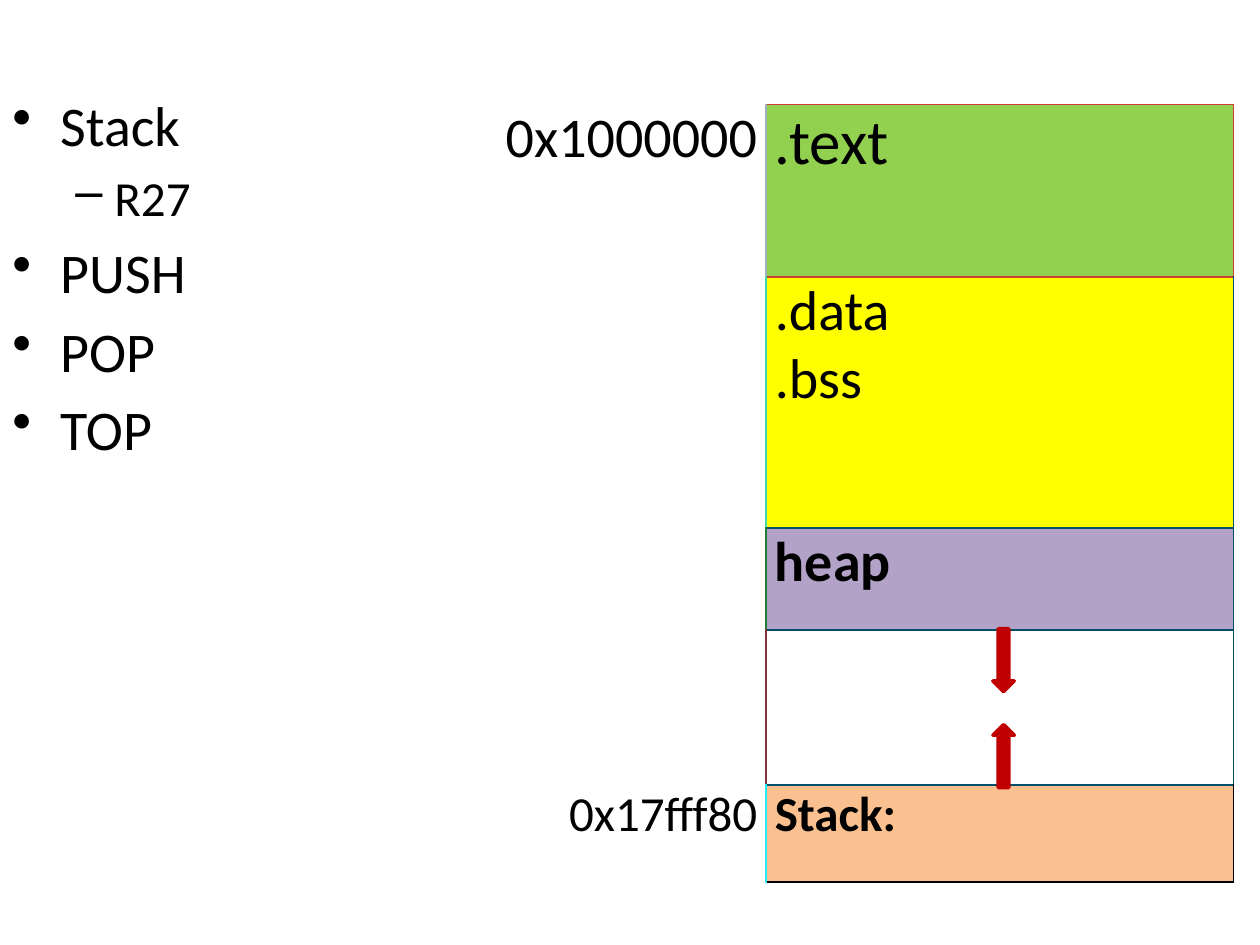
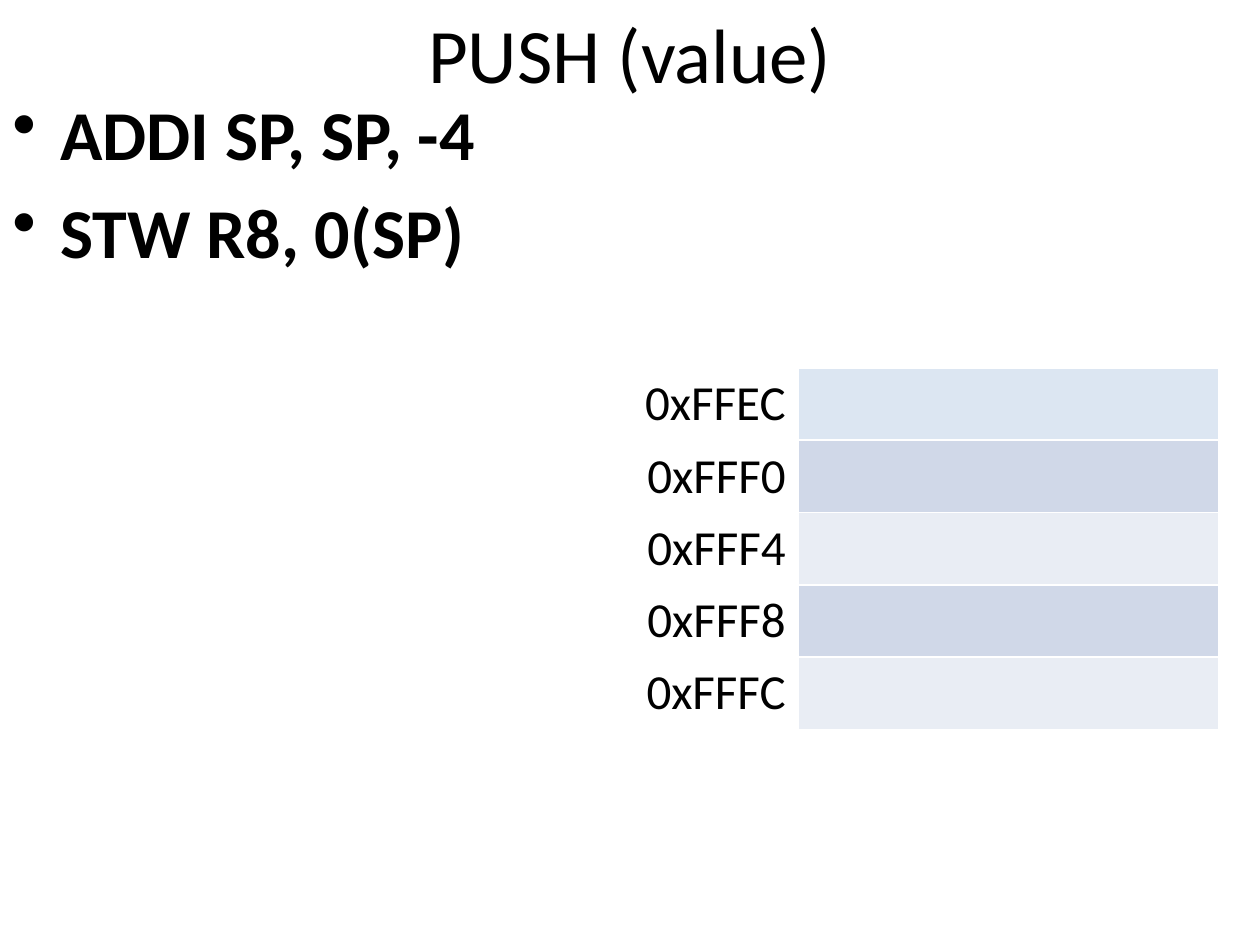
from dataclasses import dataclass

from lxml import etree
from pptx import Presentation
from pptx.dml.color import RGBColor
from pptx.enum.shapes import MSO_SHAPE
from pptx.enum.text import MSO_ANCHOR, MSO_AUTO_SIZE, PP_ALIGN
from pptx.oxml.ns import qn
from pptx.util import Inches, Pt

ARROW = MSO_SHAPE.DOWN_ARROW
TOP = MSO_ANCHOR.TOP
FIXED = MSO_AUTO_SIZE.NONE
LEFT, CENTER, RIGHT = PP_ALIGN.LEFT, PP_ALIGN.CENTER, PP_ALIGN.RIGHT
TITLE_ONLY, BLANK = 5, 6


@dataclass(frozen=True)
class Theme:
    font: str = "Calibri"
    ink: str = "000000"
    red: str = "D03E3A"
    navy: str = "004E6B"
    green: str = "92D050"
    yellow: str = "FFFF00"
    purple: str = "B3A2C7"
    orange: str = "FAC090"
    arrow: str = "C00000"
    head: str = "DCE6F2"
    dark: str = "D0D8E8"
    light: str = "E9EDF4"
    title: int = 44
    code: int = 40
    large: int = 36
    text: int = 32
    small: int = 28


T = Theme()
BODY = (0, 0.67, 10, 6.83)
INDENTS = ((0.38, -0.38, "•"), (0.81, -0.31, "–"))


def color(code):
    return RGBColor.from_string(code)


def style(para, size, bold=False, align=LEFT):
    para.alignment = align
    font = para.font
    font.name = T.font
    font.size = Pt(size)
    font.bold = bold
    font.color.rgb = color(T.ink)


def paint(part, code):
    if code:
        part.fill.solid()
        part.fill.fore_color.rgb = color(code)
    else:
        part.fill.background()


def add_title(slide, text, box):
    title = slide.shapes.title
    title.left, title.top, title.width, title.height = map(Inches, box)
    frame = title.text_frame
    frame.text = text
    frame.auto_size = FIXED
    frame.vertical_anchor = TOP
    style(frame.paragraphs[0], T.title, align=CENTER)


def add_list(slide, items, box, bold=False):
    frame = slide.shapes.add_textbox(*map(Inches, box)).text_frame
    frame.word_wrap = True
    for i, (text, level, size) in enumerate(items):
        para = frame.add_paragraph() if i else frame.paragraphs[0]
        para.text = text
        para.level = level
        margin, indent, mark = INDENTS[level]
        props = para._p.get_or_add_pPr()
        props.set("marL", str(Inches(margin)))
        props.set("indent", str(Inches(indent)))
        etree.SubElement(props, qn("a:buChar"), char=mark)
        para.space_before = Pt(size * 0.2 if i else 0)
        style(para, size, bold)


def add_grid(slide, box, cols, rows):
    frame = slide.shapes.add_table(len(rows), len(cols), *map(Inches, box))
    grid = frame.table
    for col, width in zip(grid.columns, cols):
        col.width = Inches(width)
    for row, height in zip(grid.rows, rows):
        row.height = Inches(height)
    return grid


def set_edges(cell, **edges):
    props = cell._tc.get_or_add_tcPr()
    for i, (side, code) in enumerate(edges.items()):
        line = etree.Element(qn(f"a:ln{side}"), w=str(Pt(1)))
        fill = etree.SubElement(line, qn("a:solidFill"))
        etree.SubElement(fill, qn("a:srgbClr"), val=code)
        props.insert(i, line)


def fill_cell(cell, text, size, bold=False, align=LEFT):
    cell.text = text
    for para in cell.text_frame.paragraphs:
        style(para, size, bold, align)


def add_arrow(slide, box, turn):
    arrow = slide.shapes.add_shape(ARROW, *map(Inches, box))
    arrow.shadow.inherit = False
    arrow.rotation = turn
    paint(arrow, T.arrow)
    arrow.line.color.rgb = color(T.arrow)
    arrow.line.width = Pt(2)


def add_memory(slide, box):
    left, top, width, _ = box
    parts = (
        (1.37, "0x1000000", T.text, ".text", T.large, False, T.green, "A0B0BA", T.red, T.red),
        (1.99, "", T.text, ".data\n.bss", T.text, False, T.yellow, "40D6B2", T.navy, T.navy),
        (0.81, "", T.text, "heap", T.text, True, T.purple, "207D33", T.navy, T.navy),
        (1.23, "", T.text, "", T.text, False, None, "80373A", T.navy, T.navy),
        (0.77, "0x17fff80", T.small, "Stack:", T.small, True, T.orange, "20EDF7", T.ink, T.ink),
    )
    grid = add_grid(slide, box, (3.41, width - 3.41), [part[0] for part in parts])
    above = T.red
    for row, part in zip(grid.rows, parts):
        _, mark, mark_size, name, size, bold, fill, side, right, below = part
        label, area = row.cells
        for cell in (label, area):
            cell.margin_left = cell.margin_right = Inches(0.07)
            cell.margin_top = cell.margin_bottom = 0
        fill_cell(label, mark, mark_size, align=RIGHT)
        fill_cell(area, name, size, bold)
        paint(label, None)
        paint(area, fill)
        set_edges(label, R=side)
        set_edges(area, L=side, R=right, T=above, B=below)
        above = below
    for drop, turn in ((4.16, 0), (4.92, 180)):
        add_arrow(slide, (left + 5.21, top + drop, 0.17, 0.5), turn)


def add_stack(slide, box):
    marks = ("0xFFEC", "0xFFF0", "0xFFF4", "0xFFF8", "0xFFFC")
    fills = (T.head, T.dark, T.light, T.dark, T.light)
    _, _, width, height = box
    count = len(marks)
    grid = add_grid(slide, box, [width / 2] * 2, [height / count] * count)
    for row, mark, fill in zip(grid.rows, marks, fills):
        label, area = row.cells
        fill_cell(label, mark, T.small, align=RIGHT)
        paint(label, None)
        paint(area, fill)


def add_layout(deck):
    slide = deck.slides.add_slide(deck.slide_layouts[BLANK])
    items = (
        ("Stack", 0, T.text),
        ("R27", 1, T.small),
        ("PUSH", 0, T.text),
        ("POP", 0, T.text),
        ("TOP", 0, T.text),
    )
    add_list(slide, items, BODY)
    add_memory(slide, (2.67, 0.83, 7.12, 6.17))


def add_push(deck):
    slide = deck.slides.add_slide(deck.slide_layouts[TITLE_ONLY])
    add_title(slide, "PUSH (value)", (0, 0, 10, 0.58))
    items = [(text, 0, T.code) for text in ("ADDI SP, SP, -4", "STW R8, 0(SP)")]
    add_list(slide, items, BODY, bold=True)
    add_stack(slide, (3, 2.92, 6.67, 2.87))


def main():
    deck = Presentation()
    deck.slide_width = Inches(10)
    deck.slide_height = Inches(7.5)
    add_layout(deck)
    add_push(deck)
    deck.save("out.pptx")


if __name__ == "__main__":
    main()
